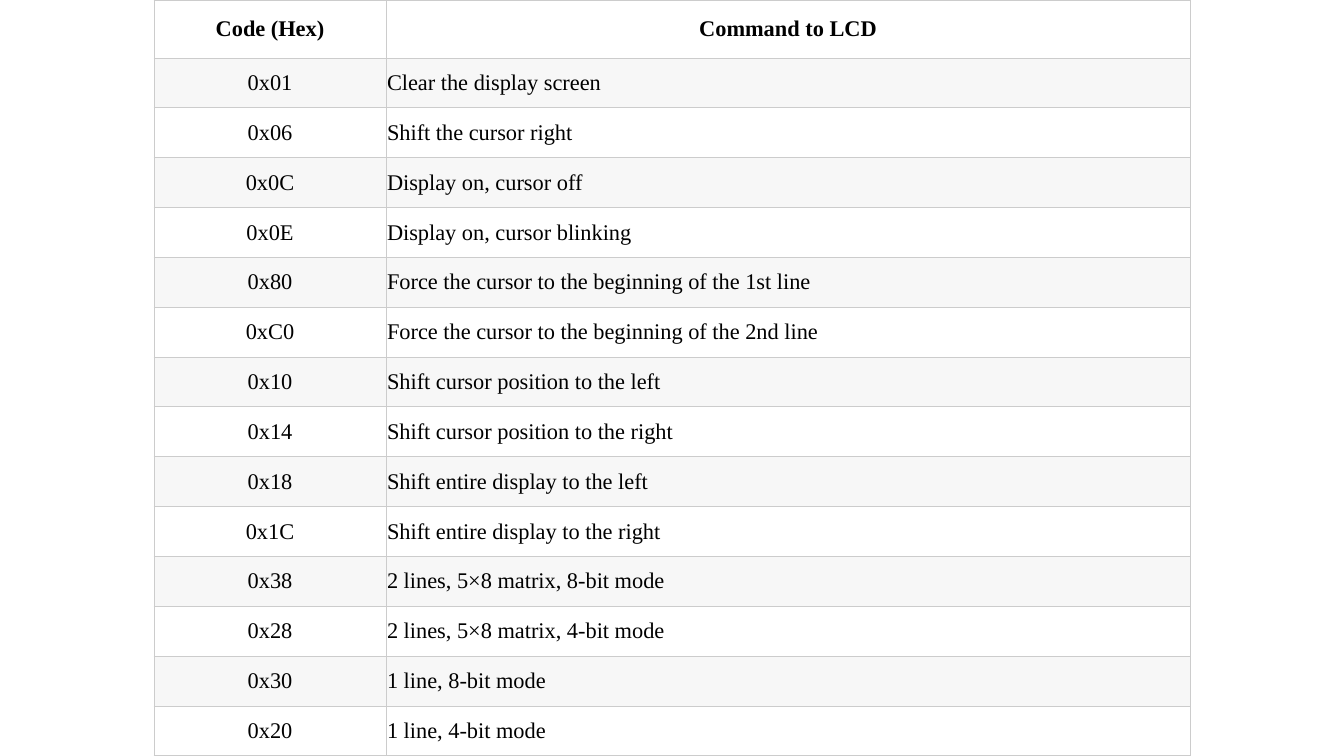
from lxml.etree import SubElement
from pptx import Presentation
from pptx.dml.color import RGBColor
from pptx.enum.text import MSO_ANCHOR as Anchor, PP_ALIGN as Align
from pptx.oxml.ns import qn
from pptx.util import Emu, Pt

EMU_PER_PX = 914400 / 100.8
SLIDE_W, SLIDE_H = 1344, 756
FONT = "Times New Roman"
WHITE, STRIPE, BORDER, INK = "FFFFFF", "F7F7F7", "CCCCCC", "000000"

HEADINGS = ("Code (Hex)", "Command to LCD")
COMMANDS = [
    ("0x01", "Clear the display screen"),
    ("0x06", "Shift the cursor right"),
    ("0x0C", "Display on, cursor off"),
    ("0x0E", "Display on, cursor blinking"),
    ("0x80", "Force the cursor to the beginning of the 1st line"),
    ("0xC0", "Force the cursor to the beginning of the 2nd line"),
    ("0x10", "Shift cursor position to the left"),
    ("0x14", "Shift cursor position to the right"),
    ("0x18", "Shift entire display to the left"),
    ("0x1C", "Shift entire display to the right"),
    ("0x38", "2 lines, 5×8 matrix, 8-bit mode"),
    ("0x28", "2 lines, 5×8 matrix, 4-bit mode"),
    ("0x30", "1 line, 8-bit mode"),
    ("0x20", "1 line, 4-bit mode"),
]


def px(length):
    return Emu(round(length * EMU_PER_PX))


def color(hex_code):
    return RGBColor.from_string(hex_code)


def add_borders(cell):
    """Draw the four cell edges; they must precede the fill in tcPr."""
    properties = cell._tc.get_or_add_tcPr()
    for position, side in enumerate(("lnL", "lnR", "lnT", "lnB")):
        edge = SubElement(properties, qn(f"a:{side}"), w=str(Pt(0.75)))
        fill = SubElement(edge, qn("a:solidFill"))
        SubElement(fill, qn("a:srgbClr"), val=BORDER)
        properties.insert(position, edge)


def format_cell(cell, text, fill, align, bold):
    cell.text = text
    cell.vertical_anchor = Anchor.MIDDLE
    cell.margin_left = cell.margin_right = px(1)
    cell.margin_top = cell.margin_bottom = 0
    cell.fill.solid()
    cell.fill.fore_color.rgb = color(fill)
    add_borders(cell)

    paragraph = cell.text_frame.paragraphs[0]
    paragraph.alignment = align
    paragraph.font.name = FONT
    paragraph.font.size = Pt(16)
    paragraph.font.bold = bold
    paragraph.font.color.rgb = color(INK)


def add_command_table(slide, left, top, width, height):
    code_width, header_height = 232, 58
    lines = [HEADINGS] + COMMANDS
    frame = slide.shapes.add_table(
        len(lines), len(HEADINGS), px(left), px(top), px(width), px(height))
    table = frame.table
    table.first_row = table.horz_banding = False

    # Column widths and row heights
    table.columns[0].width = px(code_width)
    table.columns[1].width = px(width - code_width)
    command_height = px((height - header_height) / len(COMMANDS))
    for row_number, row in enumerate(table.rows):
        row.height = command_height if row_number else px(header_height)

    # Headings and striped command rows
    for row_number, line in enumerate(lines):
        is_header = row_number == 0
        fill = STRIPE if row_number % 2 else WHITE
        for column, text in enumerate(line):
            align = Align.CENTER if is_header or column == 0 else Align.LEFT
            format_cell(table.cell(row_number, column), text, fill, align, is_header)


def main():
    deck = Presentation()
    deck.slide_width, deck.slide_height = px(SLIDE_W), px(SLIDE_H)
    slide = deck.slides.add_slide(deck.slide_layouts[6])
    add_command_table(slide, 154, 0, 1036, SLIDE_H)
    deck.save("out.pptx")


if __name__ == "__main__":
    main()
